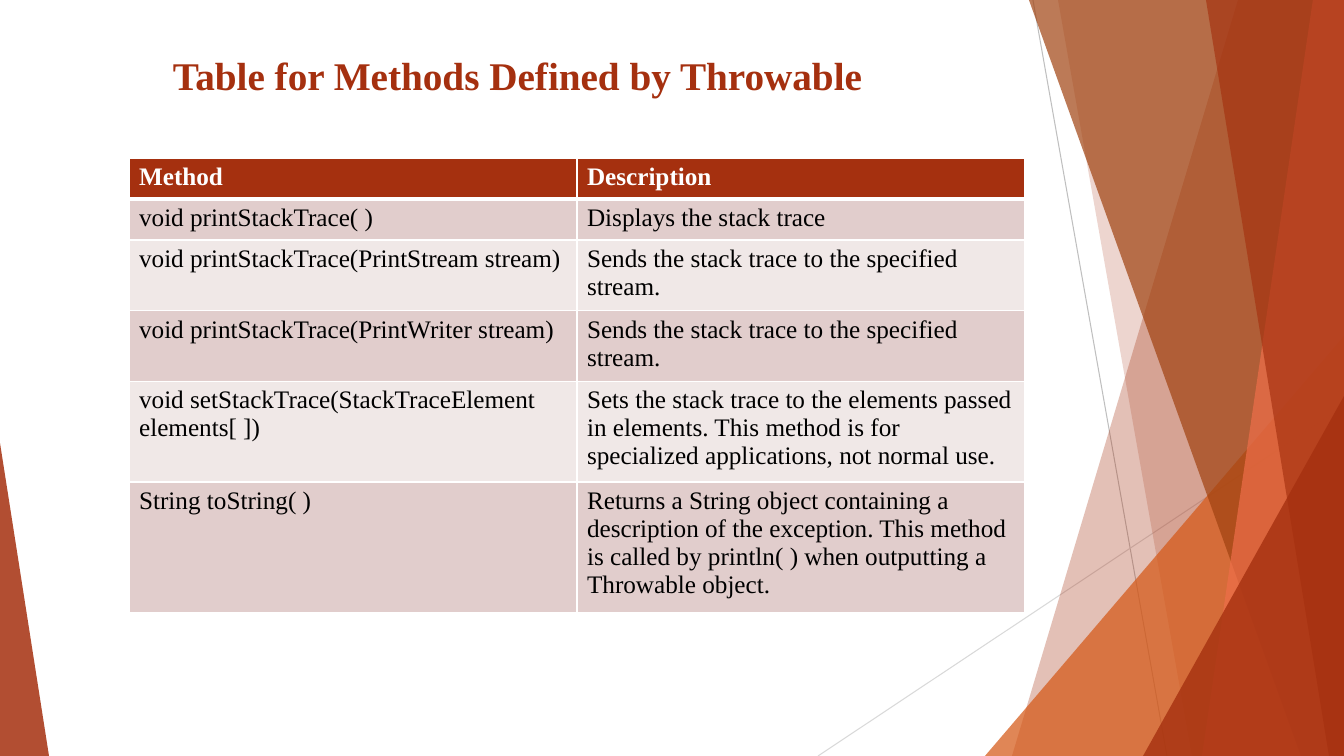
from lxml import etree
from pptx import Presentation
from pptx.dml.color import RGBColor
from pptx.enum.shapes import MSO_CONNECTOR, MSO_SHAPE
from pptx.enum.text import MSO_ANCHOR
from pptx.oxml.ns import qn
from pptx.util import Pt

PX = 914400 / 100.8
WIDE, HIGH = 1344, 756
FONT = "Times New Roman"
LINE, TRI = MSO_CONNECTOR.STRAIGHT, MSO_SHAPE.ISOSCELES_TRIANGLE
MIDDLE = MSO_ANCHOR.MIDDLE

WHITE = RGBColor(0xFF, 0xFF, 0xFF)
BLACK = RGBColor(0, 0, 0)
RUST = RGBColor(0xA5, 0x30, 0x0F)
BROWN = RGBColor(0xA0, 0x42, 0x10)
AMBER = RGBColor(0xD5, 0x58, 0x16)
CORAL = RGBColor(0xEE, 0x6E, 0x4A)
ROSE = RGBColor(0xE1, 0xCD, 0xCC)
PALE = RGBColor(0xF0, 0xE8, 0xE7)
GREY = RGBColor(0xBF, 0xBF, 0xBF)
SILVER = RGBColor(0xD9, 0xD9, 0xD9)

HEADS = ("Method", "Description")
METHODS = (
    ("void printStackTrace( )", "Displays the stack trace"),
    ("void printStackTrace(PrintStream stream)",
     "Sends the stack trace to the specified stream."),
    ("void printStackTrace(PrintWriter stream)",
     "Sends the stack trace to the specified stream."),
    ("void setStackTrace(StackTraceElement elements[ ])",
     "Sets the stack trace to the elements passed in elements. "
     "This method is for specialized applications, not normal use."),
    ("String toString( )",
     "Returns a String object containing a description of the exception. "
     "This method is called by println( ) when outputting a Throwable object."),
)
ROWS = (41, 41, 66, 66, 93, 121)


def emu(*nums):
    return [round(n * PX) for n in nums]


def write(frame, text, size=18, color=BLACK, bold=False):
    frame.word_wrap = True
    run = frame.paragraphs[0].add_run()
    run.text = text
    font = run.font
    font.name, font.size, font.bold = FONT, Pt(size), bold
    font.color.rgb = color


def paint(shape, color, alpha):
    """Fill a shape with a color at alpha percent, without line or shadow."""
    shape.shadow.inherit = False
    shape.line.fill.background()
    shape.fill.solid()
    shape.fill.fore_color.rgb = color
    tint = shape.fill._xPr.find(qn("a:solidFill"))[0]
    etree.SubElement(tint, qn("a:alpha"), val=str(alpha * 1000))


def ray(slide, x1, y1, x2, y2, color):
    line = slide.shapes.add_connector(LINE, *emu(x1, y1, x2, y2))
    line.line.color.rgb = color
    line.line.width = Pt(0.75)
    etree.SubElement(line._element.spPr, qn("a:effectLst"))


def shard(slide, top, foot, color, alpha):
    """Draw a full-height panel from a slanted left side to the right edge."""
    pen = slide.shapes.build_freeform(top, 0, scale=PX)
    pen.add_line_segments([(WIDE, 0), (WIDE, HIGH), (foot, HIGH)], close=True)
    paint(pen.convert_to_shape(), color, alpha)


def wedge(slide, left, top, width, peak, color, alpha):
    """Draw a triangle that stands on the bottom edge."""
    shape = slide.shapes.add_shape(TRI, *emu(left, top, width, HIGH - top))
    shape.adjustments[0] = peak
    paint(shape, color, alpha)


def edge(cell, side, width):
    line = etree.SubElement(cell._tc.get_or_add_tcPr(), qn("a:ln" + side),
                            w=str(Pt(width)))
    fill = etree.SubElement(line, qn("a:solidFill"))
    etree.SubElement(fill, qn("a:srgbClr"), val=str(WHITE))


def grid(slide, left, top, width):
    rows = (HEADS,) + METHODS
    box = emu(left, top, width, sum(ROWS))
    table = slide.shapes.add_table(len(rows), len(HEADS), *box).table
    table.horz_banding = False
    for r, (row, high) in enumerate(zip(rows, ROWS)):
        table.rows[r].height = emu(high)[0]
        head = r == 0
        back = RUST if head else (PALE, ROSE)[r % 2]
        for c, text in enumerate(row):
            cell = table.cell(r, c)
            for side in "LRTB":
                thick = (r, side) in ((0, "B"), (1, "T"))
                edge(cell, side, 3 if thick else 1)
            cell.fill.solid()
            cell.fill.fore_color.rgb = back
            write(cell.text_frame, text, color=WHITE if head else BLACK,
                  bold=head)


def decor(slide):
    ray(slide, 1033, 0, 1167, HIGH, GREY)
    ray(slide, WIDE, 406, 818, HIGH, SILVER)
    shard(slide, 1238, 1012, RUST, 30)
    shard(slide, 1058, 1192, RUST, 20)
    wedge(slide, 985, 336, 359, 1, AMBER, 72)
    shard(slide, 1029, 1301, BROWN, 70)
    shard(slide, 1313, 1202, CORAL, 70)
    shard(slide, 1206, 1329, RUST, 65)
    wedge(slide, 1143, 396, 201, 1, RUST, 80)
    wedge(slide, 0, 443, 49, 0, RUST, 85)


def main():
    deck = Presentation()
    deck.slide_width, deck.slide_height = emu(WIDE, HIGH)
    slide = deck.slides.add_slide(deck.slide_layouts[6])
    decor(slide)
    title = slide.shapes.add_textbox(*emu(163, 43, 781, 63)).text_frame
    title.vertical_anchor = MIDDLE
    write(title, "Table for Methods Defined by Throwable", size=28,
          color=RUST, bold=True)
    grid(slide, 129, 158, 896)
    deck.save("out.pptx")


if __name__ == "__main__":
    main()
